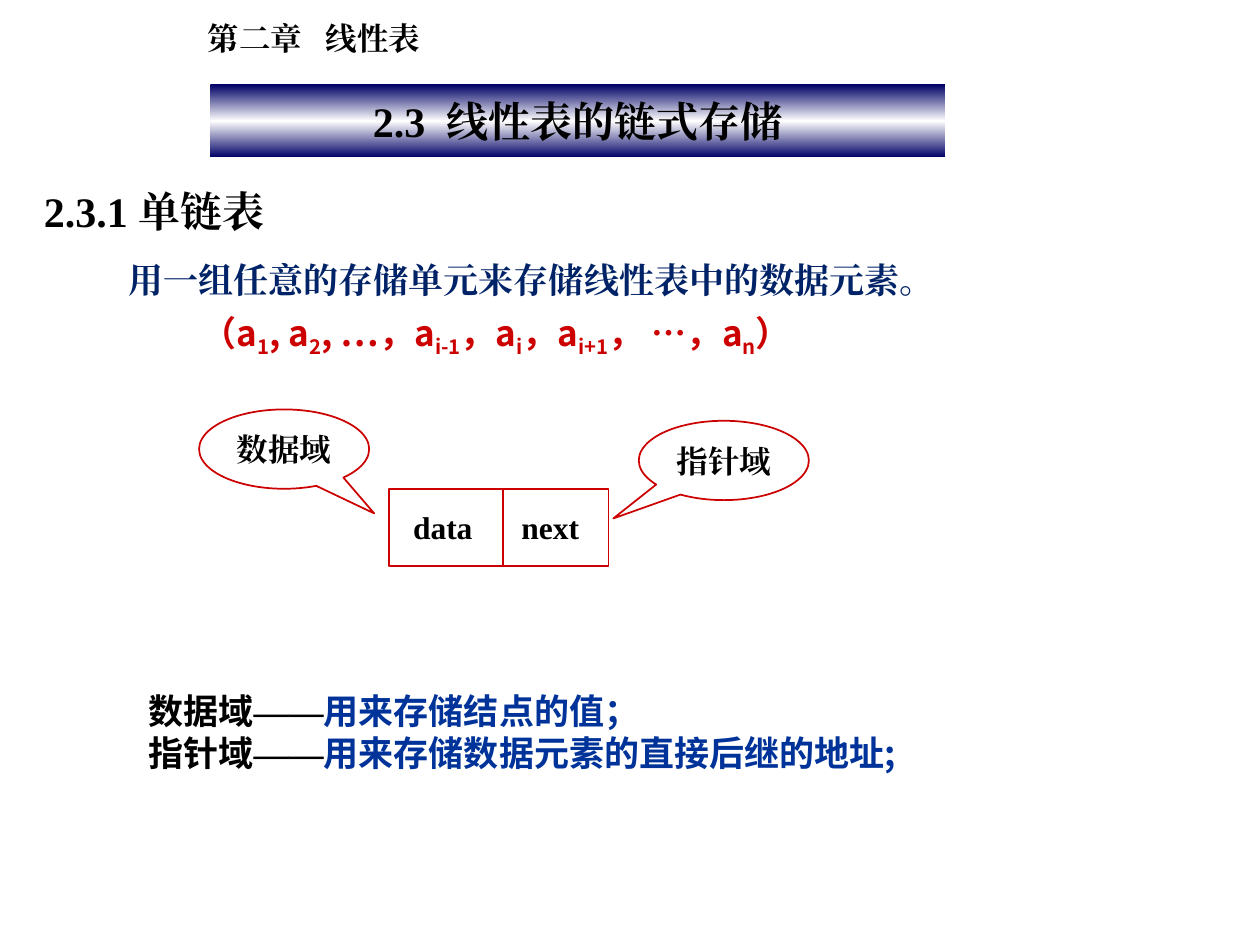
"""Build the slide that introduces the linked storage of linear lists."""
from copy import deepcopy
from dataclasses import dataclass

from lxml import etree
from pptx import Presentation
from pptx.dml.color import RGBColor
from pptx.enum.shapes import MSO_CONNECTOR, MSO_SHAPE
from pptx.enum.text import MSO_ANCHOR, MSO_AUTO_SIZE, PP_ALIGN
from pptx.oxml.ns import qn
from pptx.util import Inches, Pt

CENTER, LEFT = PP_ALIGN.CENTER, PP_ALIGN.LEFT
MIDDLE, TOP = MSO_ANCHOR.MIDDLE, MSO_ANCHOR.TOP
FIXED = MSO_AUTO_SIZE.NONE
CALLOUT, RECTANGLE = MSO_SHAPE.OVAL_CALLOUT, MSO_SHAPE.RECTANGLE
STRAIGHT = MSO_CONNECTOR.STRAIGHT
TITLE_ONLY = 5


@dataclass(frozen=True)
class Theme:
    serif: str = "Times New Roman"
    sans: str = "Noto Sans CJK SC"
    heading: int = 24
    body: int = 20
    label: int = 18
    black: str = "000000"
    red: str = "CC0000"
    navy: str = "002368"
    blue: str = "003399"
    banner: tuple[str, ...] = ("000066", "FFFFFF", "000066")


THEME = Theme()


@dataclass(frozen=True)
class Span:
    text: str
    size: int = THEME.label
    color: str = THEME.black
    font: str = THEME.serif
    subscript: bool = False


@dataclass(frozen=True)
class TextBlock:
    place: tuple[float, float, float, float]
    paragraphs: list[list[Span]]
    line_spacing: float = 1.0


@dataclass(frozen=True)
class Callout:
    left: float
    top: float
    text: str
    pointer: tuple[float, float]


def body_span(text: str, color: str, font: str = THEME.sans, subscript: bool = False) -> Span:
    """Return a span in the body size."""
    return Span(text, THEME.body, color, font, subscript)


def definition(term: str, meaning: str) -> list[Span]:
    """Return a term, a dash and its meaning."""
    return [
        body_span(term, THEME.black),
        body_span("——", THEME.black, THEME.serif),
        body_span(meaning, THEME.blue),
    ]


def sequence(*pairs: tuple[str, str]) -> list[Span]:
    """Return the list elements with their subscripts."""
    return [
        body_span(text, THEME.red, subscript=lowered)
        for pair in pairs
        for text, lowered in zip(pair, (False, True))
        if text
    ]


def add_span(para, span: Span) -> None:
    """Append one formatted run to a paragraph."""
    run = para.add_run()
    run.text = span.text
    values = {"size": Pt(span.size), "bold": True, "name": span.font}
    for name, value in values.items():
        setattr(run.font, name, value)
    run.font.color.rgb = RGBColor.from_string(span.color)
    properties = run._r.get_or_add_rPr()
    etree.SubElement(properties, qn("a:ea")).set("typeface", span.font)
    if span.subscript:
        properties.set("baseline", "-25000")


def write(shape, paragraphs: list[list[Span]], alignment=LEFT, anchor=TOP,
          side: float = 0.1, line_spacing: float = 1.0) -> None:
    """Fill a shape with paragraphs of spans."""
    frame = shape.text_frame
    values = {
        "word_wrap": True, "auto_size": FIXED, "vertical_anchor": anchor,
        "margin_left": Inches(side), "margin_right": Inches(side),
        "margin_top": Inches(0.05), "margin_bottom": Inches(0.05),
    }
    for name, value in values.items():
        setattr(frame, name, value)
    for index, spans in enumerate(paragraphs):
        para = frame.add_paragraph() if index else frame.paragraphs[0]
        layout = {"alignment": alignment, "line_spacing": line_spacing, "space_before": Pt(0)}
        for name, value in layout.items():
            setattr(para, name, value)
        for span in spans:
            add_span(para, span)


def add_title(page) -> None:
    """Format the title as a gradient banner."""
    title = page.shapes.title
    place = {"left": 1.67, "top": 0.67, "width": 5.83, "height": 0.58}
    for name, value in place.items():
        setattr(title, name, Inches(value))
    title.fill.gradient()
    title.fill.gradient_angle = 90
    stop_list = title._element.spPr.find(".//" + qn("a:gsLst"))
    stop_list.insert(1, deepcopy(stop_list[0]))
    for index, (stop, color) in enumerate(zip(title.fill.gradient_stops, THEME.banner)):
        stop.position = index / 2
        stop.color.rgb = RGBColor.from_string(color)
    write(title, [[Span("2.3  线性表的链式存储", THEME.heading)]], CENTER, MIDDLE)


def add_text(page, block: TextBlock) -> None:
    """Draw a text box."""
    box = page.shapes.add_textbox(*map(Inches, block.place))
    write(box, block.paragraphs, line_spacing=block.line_spacing)


def outline(shape) -> None:
    """Give a shape or line the red outline."""
    shape.line.color.rgb = RGBColor.from_string(THEME.red)
    shape.line.width = Pt(1)


def add_outlined(page, kind, left: float, top: float, width: float, height: float):
    """Draw an unfilled shape with a red outline."""
    shape = page.shapes.add_shape(kind, *map(Inches, (left, top, width, height)))
    shape.shadow.inherit = False
    shape.fill.background()
    outline(shape)
    return shape


def add_node(page) -> None:
    """Draw the list node with its two fields."""
    left, top, width, height, split = 3.09, 3.88, 1.74, 0.61, 3.99
    add_outlined(page, RECTANGLE, left, top, width, height)
    divider = page.shapes.add_connector(
        STRAIGHT, *map(Inches, (split, top, split, top + height)))
    outline(divider)
    etree.SubElement(divider._element.spPr, qn("a:effectLst"))
    for text_left, name in ((3.18, "data"), (4.04, "next")):
        add_text(page, TextBlock((text_left, 3.98, 0.7, 0.4), [[Span(name)]]))


def add_callout(page, callout: Callout) -> None:
    """Draw an oval callout that names a field."""
    shape = add_outlined(page, CALLOUT, callout.left, callout.top, 1.35, 0.63)
    for index, value in enumerate(callout.pointer):
        shape.adjustments[index] = value
    write(shape, [[Span(callout.text)]], CENTER, MIDDLE, side=0)


BLOCKS = [
    TextBlock((1.55, 0.1, 1.92, 0.7), [[Span("第二章   线性表")]]),
    TextBlock((0.25, 1.42, 2.33, 0.5), [[Span("2.3.1 单链表", THEME.heading)]]),
    TextBlock((0.92, 1.92, 6.75, 0.52), [[body_span(
        "用一组任意的存储单元来存储线性表中的数据元素。", THEME.navy, THEME.serif)]], 1.25),
    TextBlock((1.5, 2.42, 5.75, 0.48), [sequence(
        ("（a", "1"), (", a", "2"), (", …，a", "i-1"), ("，a", "i"),
        ("，a", "i+1"), ("， …，a", "n"), ("）", ""))]),
    TextBlock((1.08, 5.42, 8.03, 0.77), [
        definition("数据域", "用来存储结点的值；"),
        definition("指针域", "用来存储数据元素的直接后继的地址;")]),
]
CALLOUTS = [
    Callout(5.07, 3.34, "指针域", (-0.65, 0.73)),
    Callout(1.58, 3.25, "数据域", (0.53, 0.81)),
]


def main() -> None:
    """Build and save the deck."""
    deck = Presentation()
    deck.slide_width, deck.slide_height = Inches(10), Inches(7.5)
    page = deck.slides.add_slide(deck.slide_layouts[TITLE_ONLY])
    add_title(page)
    for block in BLOCKS:
        add_text(page, block)
    add_node(page)
    for callout in CALLOUTS:
        add_callout(page, callout)
    deck.save("out.pptx")


if __name__ == "__main__":
    main()
